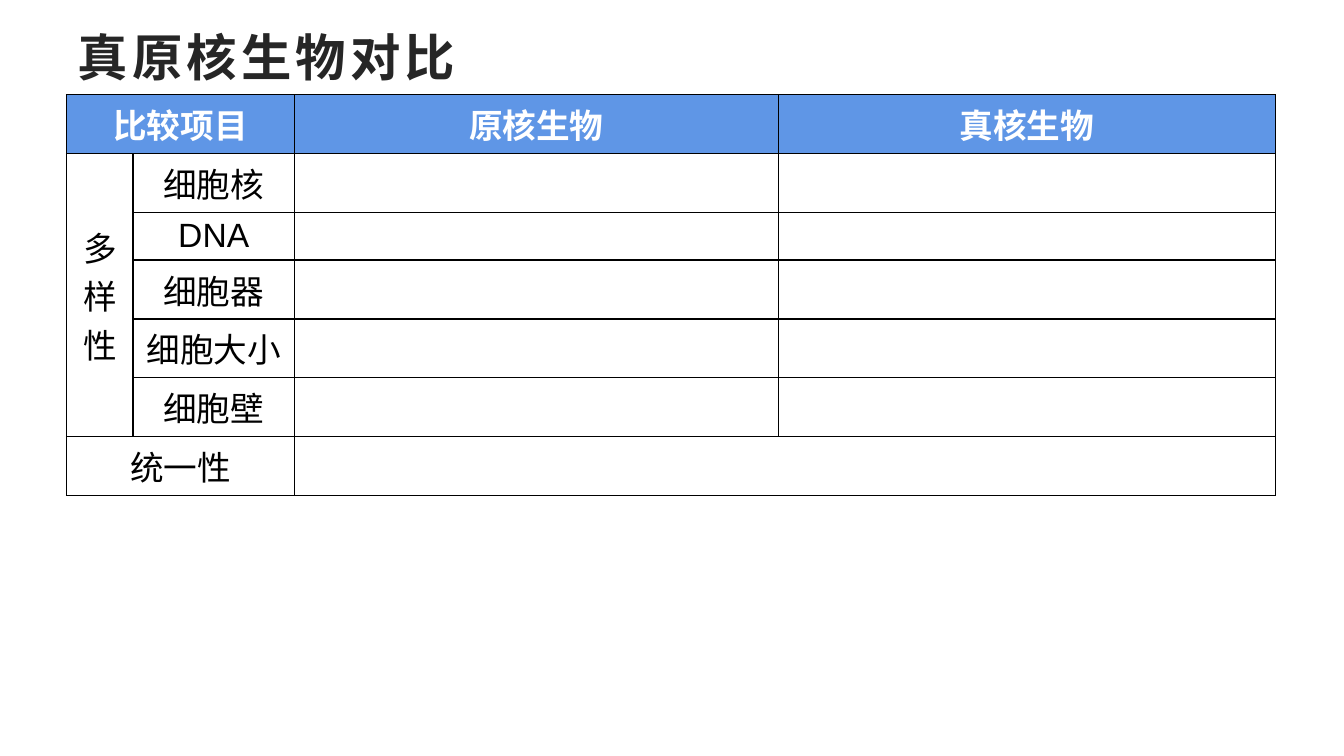
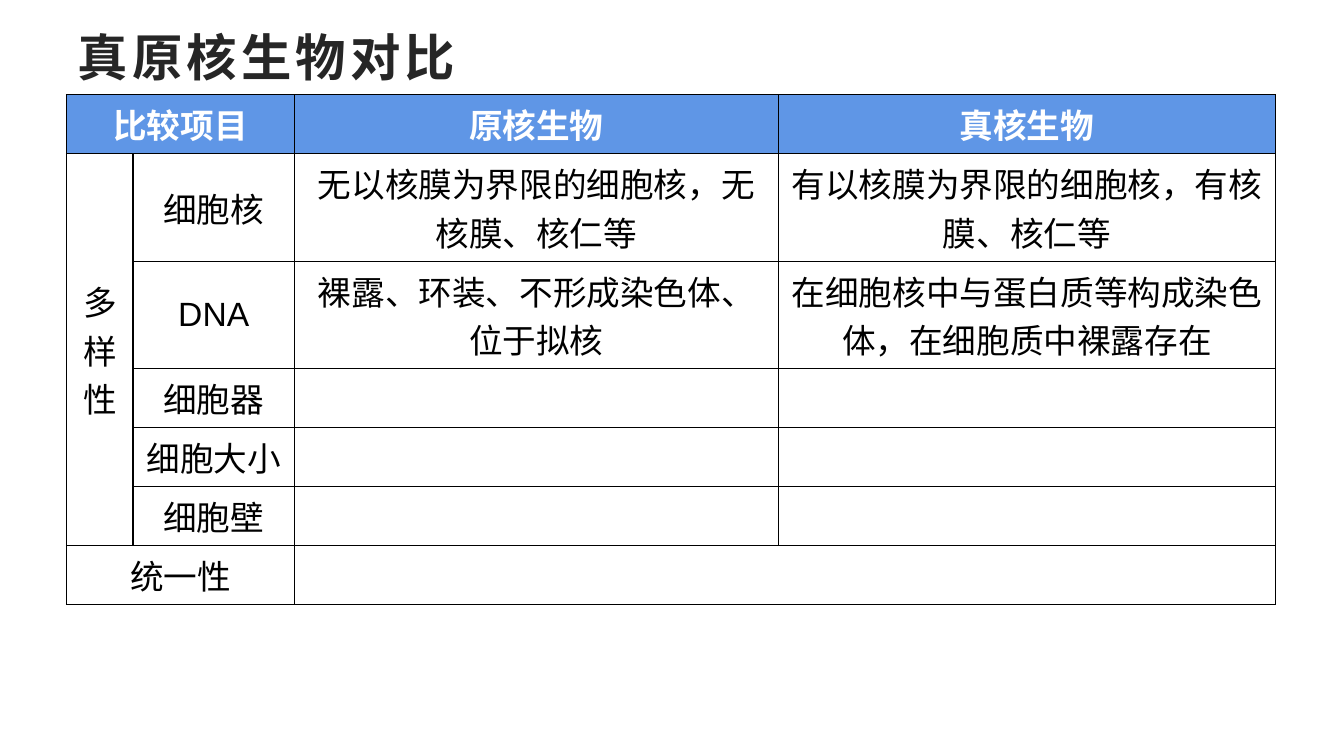
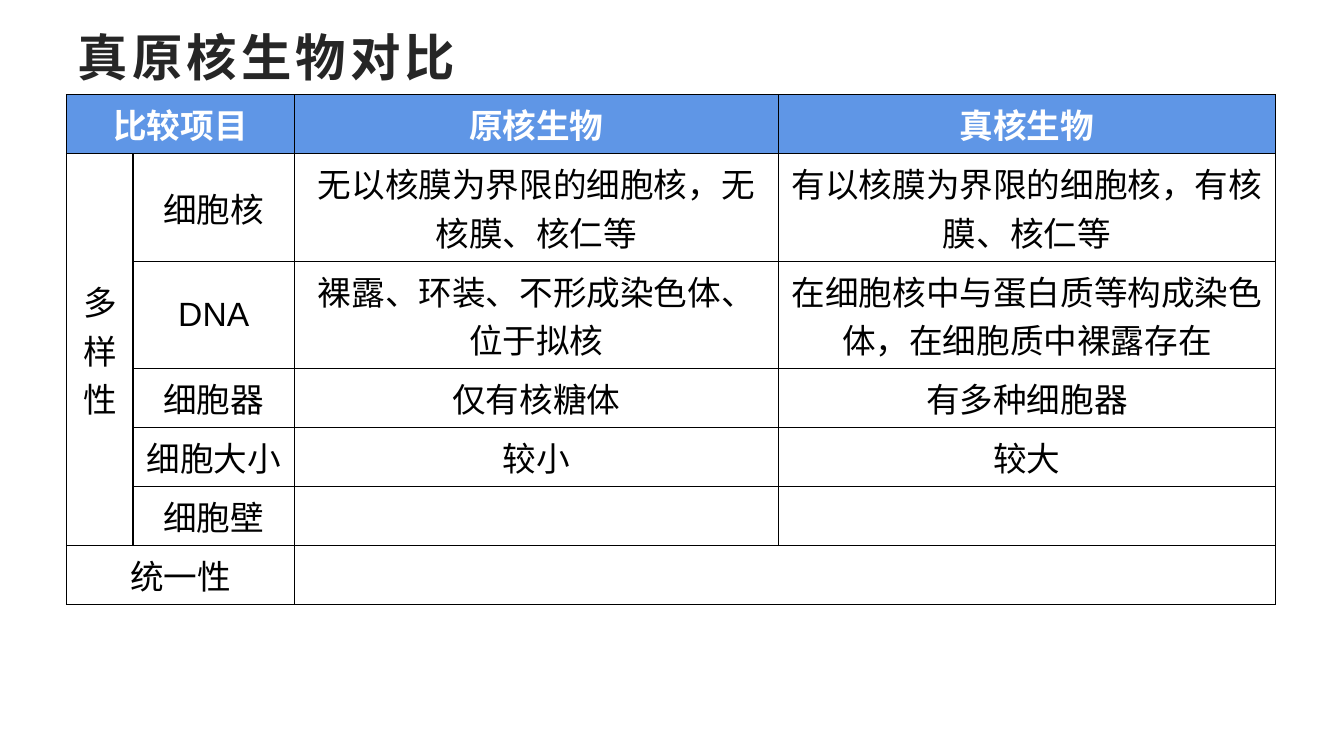
import pptx
import pptx.util
import pptx.dml.color
import pptx.enum.lang
import pptx.enum.text
import pptx.oxml
import pptx.oxml.ns
from pptx.util import Inches

# Shared look
COLORS = {"title": "262626", "header": "5F96E6", "white": "FFFFFF", "black": "000000"}
FONT = "Arial"
COL_WIDTHS = [0.66, 1.6, 4.8, 4.93]
ROW_HEIGHT = 0.42

# Content: each row is an aspect with its prokaryote and eukaryote answers
TITLE = "真原核生物对比"
ROWS = [
    ("细胞核", "无以核膜为界限的细胞核，无核膜、核仁等", "有以核膜为界限的细胞核，有核膜、核仁等"),
    ("DNA", "裸露、环装、不形成染色体、位于拟核", "在细胞核中与蛋白质等构成染色体，在细胞质中裸露存在"),
    ("细胞器", "仅有核糖体", "有多种细胞器"),
    ("细胞大小", "较小", "较大"),
    ("细胞壁", "", ""),
]
ANSWERED_ROWS = [0, 2, 4]  # answers revealed on each slide


def rgb(name):
    return pptx.dml.color.RGBColor.from_string(COLORS[name])


def add_run(p, text, size, color, bold):
    r = p.add_run()
    r.text = text
    r.font.name = FONT
    r.font.size = pptx.util.Pt(size)
    r.font.bold = bold
    r.font.color.rgb = rgb(color)
    r.font.language_id = pptx.enum.lang.MSO_LANGUAGE_ID.SIMPLIFIED_CHINESE
    return r


def set_title(s, text):
    sp = s.shapes.title
    sp.left, sp.top, sp.width, sp.height = Inches(0.67), Inches(0.17), Inches(12), Inches(0.77)
    tf = sp.text_frame
    tf.vertical_anchor = pptx.enum.text.MSO_ANCHOR.MIDDLE
    tf.auto_size = pptx.enum.text.MSO_AUTO_SIZE.NONE
    p = tf.paragraphs[0]
    p.alignment = pptx.enum.text.PP_ALIGN.LEFT
    r = add_run(p, text, 36, "title", True)
    r.font._element.set("spc", "300")


def add_borders(cell):
    tcPr = cell._tc.get_or_add_tcPr()
    for side in ("lnL", "lnR", "lnT", "lnB"):
        tcPr.append(pptx.oxml.parse_xml(
            f'<a:{side} {pptx.oxml.ns.nsdecls("a")} w="12700"><a:solidFill>'
            f'<a:srgbClr val="{COLORS["black"]}"/></a:solidFill></a:{side}>'))


def format_cell(cell, text, is_header):
    add_borders(cell)
    cell.fill.solid()
    cell.fill.fore_color.rgb = rgb("header" if is_header else "white")
    cell.vertical_anchor = pptx.enum.text.MSO_ANCHOR.MIDDLE
    if text:
        p = cell.text_frame.paragraphs[0]
        p.alignment = pptx.enum.text.PP_ALIGN.CENTER
        add_run(p, text, 24, "white" if is_header else "black", is_header)


def add_comparison(s, answered):
    grid = [("比较项目", "", "原核生物", "真核生物")]
    for i, (aspect, prokaryote, eukaryote) in enumerate(ROWS):
        answers = (prokaryote, eukaryote) if i < answered else ("", "")
        grid.append(("" if i else "多样性", aspect, *answers))
    grid.append(("统一性", "", "", ""))

    last = len(grid) - 1
    table = s.shapes.add_table(
        len(grid), len(COL_WIDTHS), Inches(0.66), Inches(0.94),
        Inches(sum(COL_WIDTHS)), Inches(ROW_HEIGHT * len(grid))).table
    table.horz_banding = False
    for column, width in zip(table.columns, COL_WIDTHS):
        column.width = Inches(width)
    for row, texts in zip(table.rows, grid):
        for cell, text in zip(row.cells, texts):
            format_cell(cell, text, texts is grid[0])

    # Header pair, diversity group, unity label and unity answer
    for top, left, bottom, right in ((0, 0, 0, 1), (1, 0, last - 1, 0),
                                     (last, 0, last, 1), (last, 2, last, 3)):
        table.cell(top, left).merge(table.cell(bottom, right))


def main():
    prs = pptx.Presentation()
    prs.slide_width, prs.slide_height = Inches(13.33), Inches(7.5)
    for answered in ANSWERED_ROWS:
        s = prs.slides.add_slide(prs.slide_layouts[5])
        set_title(s, TITLE)
        add_comparison(s, answered)
    prs.save("out.pptx")


main()
